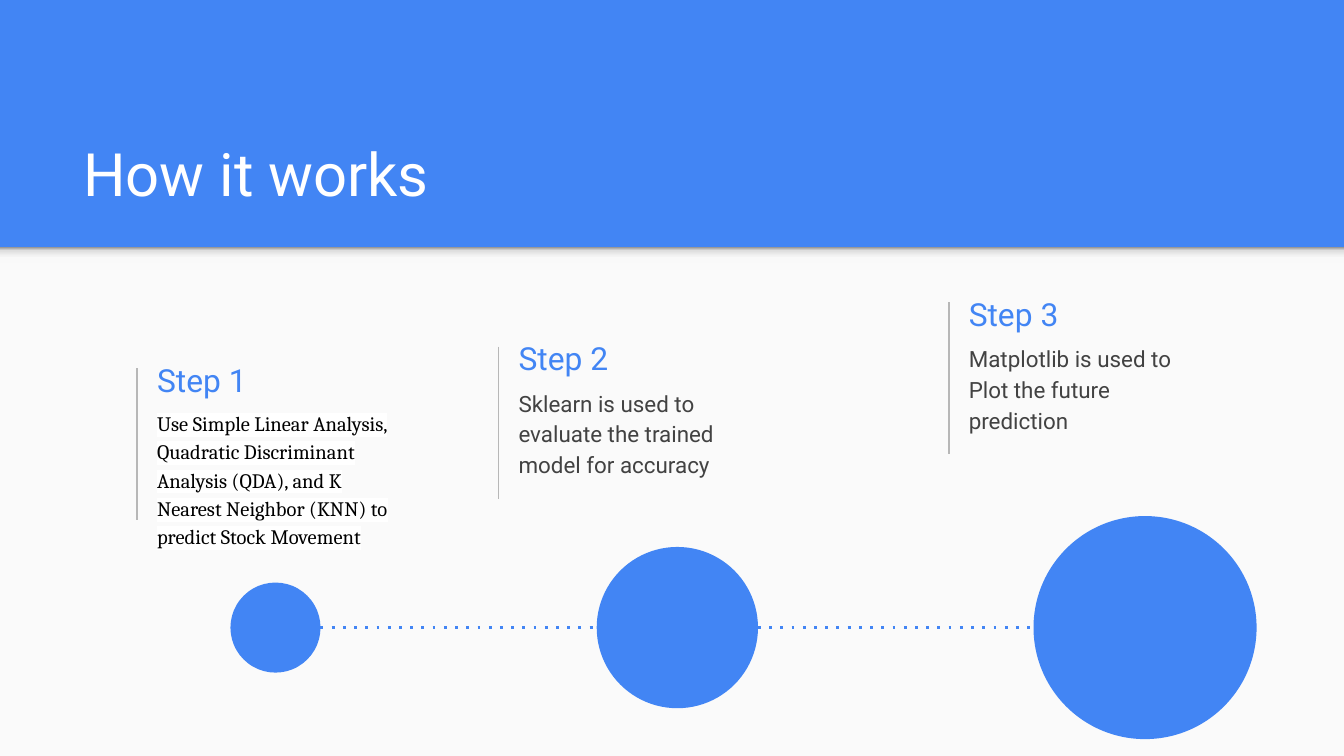
from dataclasses import dataclass

from lxml import etree
from pptx import Presentation
from pptx.dml.color import RGBColor
from pptx.enum import shapes, text
from pptx.oxml import ns
from pptx.util import Inches, Pt

COLORS = {
    "blue": "4285F4",
    "paper": "FAFAFA",
    "white": "FFFFFF",
    "black": "000000",
    "body": "424242",
    "rule": "B7B7B7",
}
SHADOW_STOPS = [(0, "F9F9F9"), (36, "F9F9F9"), (80, "DEDEDE"), (100, "999999")]
SLIDE_WIDTH = 10
SLIDE_HEIGHT = SLIDE_WIDTH * 9 / 16
BANNER_HEIGHT = 1.84
TIMELINE_Y = 4.67
RULE_HEIGHT = 1.13


@dataclass
class TextStyle:
    size: float
    color: str
    font: str = "Roboto"
    highlight: str | None = None
    line_spacing: float = 1.0
    space_after: float = 0


@dataclass
class Step:
    title: str
    body: str
    rule_x: float
    rule_top: float
    body_height: float
    body_style: TextStyle
    circle_x: float
    diameter: float


TITLE = TextStyle(32, COLORS["white"])
STEP_TITLE = TextStyle(17, COLORS["blue"])
BODY = TextStyle(12, COLORS["body"], line_spacing=1.15, space_after=16)
MARKED_BODY = TextStyle(11, COLORS["black"], "Cambria", COLORS["white"], 1.15, 16)

STEPS = [
    Step("Step 1", "Use Simple Linear Analysis, Quadratic Discriminant Analysis (QDA), "
         "and K Nearest Neighbor (KNN) to predict Stock Movement",
         1.02, 2.74, 1.39, MARKED_BODY, 2.05, 0.67),
    Step("Step 2", "Sklearn is used to evaluate the trained model for accuracy",
         3.71, 2.58, 0.63, BODY, 5.04, 1.2),
    Step("Step 3", "Matplotlib is used to Plot the future prediction",
         7.06, 2.25, 0.63, BODY, 8.52, 1.66),
]


def rgb(color: str) -> RGBColor:
    return RGBColor.from_string(color)


def add_solid(slide, kind, left: float, top: float, width: float, height: float, color: str):
    shape = slide.shapes.add_shape(kind, Inches(left), Inches(top), Inches(width), Inches(height))
    shape.shadow.inherit = False
    shape.fill.solid()
    shape.fill.fore_color.rgb = rgb(color)
    shape.line.fill.background()
    return shape


def add_banner_shadow(slide) -> None:
    shape = add_solid(slide, shapes.MSO_SHAPE.RECTANGLE, 0, BANNER_HEIGHT,
                      SLIDE_WIDTH, 0.12, COLORS["paper"])
    shape.fill.gradient()
    shape.fill.gradient_angle = 90
    stops = shape._element.spPr.find(".//" + ns.qn("a:gsLst"))
    for stop in list(stops):
        stops.remove(stop)
    for position, color in SHADOW_STOPS:
        stop = etree.SubElement(stops, ns.qn("a:gs"), pos=str(position * 1000))
        etree.SubElement(stop, ns.qn("a:srgbClr"), val=color)


def add_text(slide, content: str, left: float, top: float, width: float, height: float,
             style: TextStyle, anchor) -> None:
    frame = slide.shapes.add_textbox(Inches(left), Inches(top), Inches(width), Inches(height)).text_frame
    frame.word_wrap = True
    frame.vertical_anchor = anchor
    frame.margin_left = frame.margin_right = Inches(0.1)
    frame.margin_top = frame.margin_bottom = Inches(0.1)
    paragraph = frame.paragraphs[0]
    paragraph.line_spacing = style.line_spacing
    paragraph.space_after = Pt(style.space_after)
    run = paragraph.add_run()
    run.text = content
    run.font.size = Pt(style.size)
    run.font.name = style.font
    run.font.color.rgb = rgb(style.color)
    if style.highlight:
        highlight = etree.Element(ns.qn("a:highlight"))
        etree.SubElement(highlight, ns.qn("a:srgbClr"), val=style.highlight)
        run.font._element.find(ns.qn("a:solidFill")).addnext(highlight)


def add_line(slide, start: tuple[float, float], end: tuple[float, float],
             color: str, width: float, dash: str | None = None) -> None:
    connector = slide.shapes.add_connector(
        shapes.MSO_CONNECTOR.STRAIGHT, *map(Inches, start), *map(Inches, end))
    connector.line.color.rgb = rgb(color)
    connector.line.width = Pt(width)
    properties = connector._element.spPr
    if dash:
        etree.SubElement(properties.find(ns.qn("a:ln")), ns.qn("a:prstDash"), val=dash)
    etree.SubElement(properties, ns.qn("a:effectLst"))


def add_step(slide, step: Step) -> None:
    add_line(slide, (step.rule_x, step.rule_top),
             (step.rule_x, step.rule_top + RULE_HEIGHT), COLORS["rule"], 0.75)
    text_left = step.rule_x + 0.05
    add_text(slide, step.title, text_left, step.rule_top - 0.13, 1.98, 0.43,
             STEP_TITLE, text.MSO_ANCHOR.MIDDLE)
    add_text(slide, step.body, text_left, step.rule_top + 0.19, 1.98, step.body_height,
             step.body_style, text.MSO_ANCHOR.TOP)


def add_timeline(slide, steps: list[Step]) -> None:
    first, last = steps[0], steps[-1]
    add_line(slide, (first.circle_x + first.diameter / 2, TIMELINE_Y),
             (last.circle_x - last.diameter / 2, TIMELINE_Y), COLORS["blue"], 1.5, "dot")
    for step in steps:
        radius = step.diameter / 2
        add_solid(slide, shapes.MSO_SHAPE.OVAL, step.circle_x - radius, TIMELINE_Y - radius,
                  step.diameter, step.diameter, COLORS["blue"])


def main() -> None:
    presentation = Presentation()
    presentation.slide_width = Inches(SLIDE_WIDTH)
    presentation.slide_height = Inches(SLIDE_HEIGHT)
    slide = presentation.slides.add_slide(presentation.slide_layouts[6])
    slide.background.fill.solid()
    slide.background.fill.fore_color.rgb = rgb(COLORS["blue"])
    add_solid(slide, shapes.MSO_SHAPE.RECTANGLE, 0, BANNER_HEIGHT, SLIDE_WIDTH,
              SLIDE_HEIGHT - BANNER_HEIGHT, COLORS["paper"])
    add_banner_shadow(slide)
    add_text(slide, "How it works", 0.52, 0.81, 8.99, 0.84, TITLE, text.MSO_ANCHOR.BOTTOM)
    for step in STEPS:
        add_step(slide, step)
    add_timeline(slide, STEPS)
    presentation.save("out.pptx")


if __name__ == "__main__":
    main()
